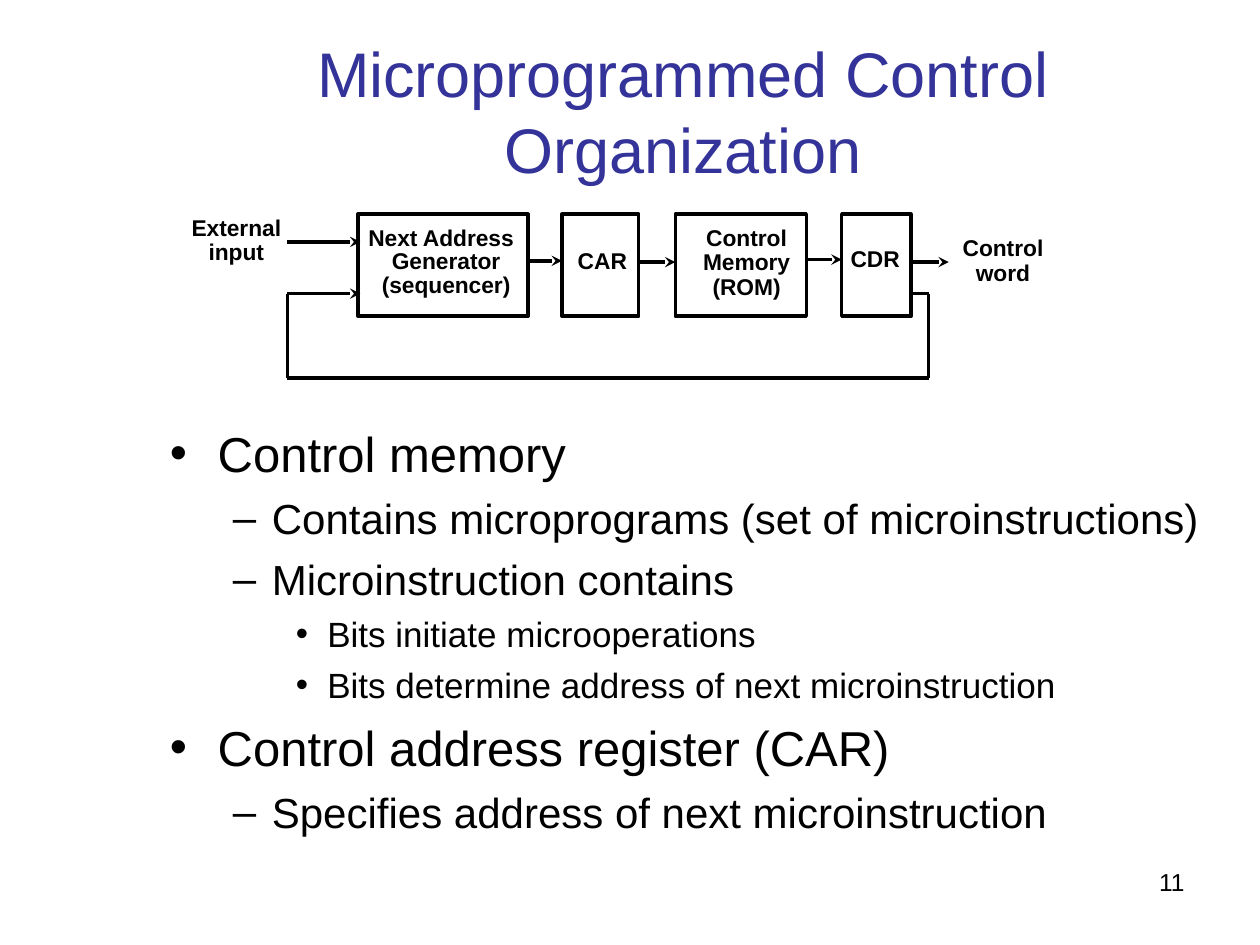
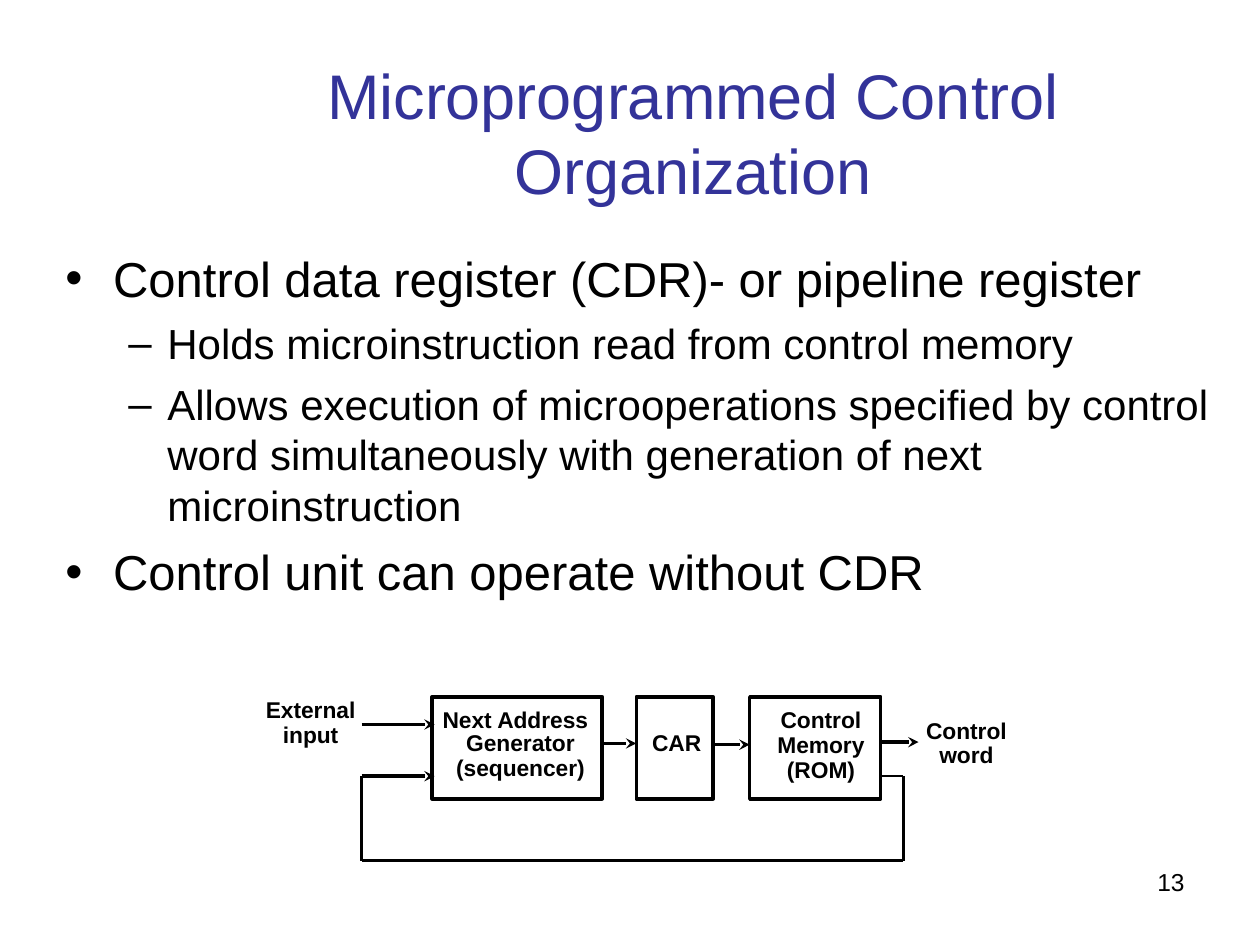
import lxml.etree
import pptx
import pptx.dml.color
import pptx.enum.shapes
import pptx.enum.text
import pptx.oxml.ns
import pptx.util

Inches = pptx.util.Inches
Pt = pptx.util.Pt
ALIGN = pptx.enum.text.PP_ALIGN
ANCHOR = pptx.enum.text.MSO_ANCHOR

FONT = "Arial"
BLACK, WHITE, TITLE_BLUE = "000000", "FFFFFF", "333399"
TITLE = "Microprogrammed Control Organization"
TITLE_SIZE = (8.5, 1.25)
NUMBER_BOX = (7.17, 6.83, 2.33, 0.52)

# Outline levels: bullet, text indent, hanging indent, size, space before
LEVELS = [
    ("•", 0.38, 0.38, 28, 7),
    ("–", 0.81, 0.31, 24, 6),
    ("•", 1.25, 0.25, 20, 5),
]

# Diagram measures are relative to its left edge and the top of its blocks.
BLOCK_HEIGHT = 0.81
INPUT_Y, FEEDBACK_Y, FEEDBACK_BOTTOM = 0.22, 0.63, 1.3
HEAD_OVERLAP, OUTPUT_LENGTH = 0.02, 0.3
EXTERNAL_LABEL = (["External", "input"], (-0.86, -0.03, 0.91, 0.49))
WORD_TOP, WORD_SIZE = 0.13, (0.84, 0.49)

# Each block has its left, width, height of its outgoing arrow, and labels
BLOCKS = {
    "sequencer": (0.56, 1.35, 0.37, [
        (["Next Address"], (0.54, 0.05, 1.36, 0.29)),
        (["Generator", "(sequencer)"], (0.65, 0.23, 1.22, 0.49)),
    ]),
    "CAR": (2.18, 0.61, 0.38, [(["CAR"], (2.19, 0.23, 0.62, 0.29))]),
    "ROM": (3.08, 1.04, 0.36, [
        (["Control", "Memory", "(ROM)"], (3.2, 0.05, 0.89, 0.68)),
    ]),
    "CDR": (4.4, 0.55, 0.38, [(["CDR"], (4.37, 0.22, 0.59, 0.29))]),
}

SLIDES = [
    {
        "number": "11",
        "title_at": (1.17, 0.25),
        "body_box": (1.25, 3.31, 8.5, 3.44),
        "outline": [
            (0, "Control memory"),
            (1, "Contains microprograms (set of microinstructions)"),
            (1, "Microinstruction contains"),
            (2, "Bits initiate microoperations"),
            (2, "Bits determine address of next microinstruction"),
            (0, "Control address register (CAR)"),
            (1, "Specifies address of next microinstruction"),
        ],
        "diagram": {
            "origin": (2.28, 1.7),
            "blocks": ["sequencer", "CAR", "ROM", "CDR"],
            "feedback_right": 5.09,
            "word_left": 5.26,
        },
    },
    {
        "number": "13",
        "title_at": (1.25, 0.42),
        "body_box": (0.42, 1.92, 9.33, 4.5),
        "outline": [
            (0, "Control data register (CDR)- or pipeline register"),
            (1, "Holds microinstruction read from control memory"),
            (1, "Allows execution of microoperations specified by control word "
                "simultaneously with generation of next microinstruction"),
            (0, "Control unit can operate without CDR"),
        ],
        "diagram": {
            "origin": (2.87, 5.53),
            "blocks": ["sequencer", "CAR", "ROM"],
            "feedback_right": 4.3,
            "word_left": 4.38,
        },
    },
]


def color(value):
    return pptx.dml.color.RGBColor.from_string(value)


def set_all(target, values):
    for name, value in values.items():
        setattr(target, name, value)


def add_child(parent, tag, **attributes):
    return lxml.etree.SubElement(parent, pptx.oxml.ns.qn(tag), attributes)


def add_text(shapes, box, lines, size, ink=BLACK, bold=False, wrap=True,
             anchor=ANCHOR.TOP, **paragraph_format):
    """Add a text box with one paragraph per line and return its paragraphs."""
    frame = shapes.add_textbox(*map(Inches, box)).text_frame
    set_all(frame, {"word_wrap": wrap, "vertical_anchor": anchor})
    frame.text = "\n".join(lines)
    for paragraph in frame.paragraphs:
        set_all(paragraph, paragraph_format)
        for run in paragraph.runs:
            set_all(run.font, {"name": FONT, "size": Pt(size), "bold": bold})
            run.font.color.rgb = color(ink)
    return frame.paragraphs


def add_outline(slide, box, outline):
    paragraphs = add_text(slide.shapes, box, [text for _, text in outline], 28)
    for paragraph, (level, _) in zip(paragraphs, outline):
        bullet, indent, hanging, size, before = LEVELS[level]
        set_all(paragraph, {"level": level, "space_before": Pt(before)})
        paragraph.runs[0].font.size = Pt(size)
        properties = paragraph._p.get_or_add_pPr()
        properties.set("marL", str(Inches(indent)))
        properties.set("indent", str(-Inches(hanging)))
        add_child(properties, "a:buFont", typeface=FONT)
        add_child(properties, "a:buChar", char=bullet)


def add_diagram(slide, origin, blocks, feedback_right, word_left):
    shapes = slide.shapes.add_group_shape().shapes
    left, top = origin

    def line(x1, y1, x2, y2, width=2, arrow=False):
        ends = (left + x1, top + y1, left + x2, top + y2)
        connector = shapes.add_connector(
            pptx.enum.shapes.MSO_CONNECTOR.STRAIGHT, *map(Inches, ends))
        connector.line.color.rgb = color(BLACK)
        connector.line.width = Pt(width)
        if arrow:
            add_child(connector.line._get_or_add_ln(), "a:tailEnd", type="stealth")
        add_child(connector._element.spPr, "a:effectLst")

    def label(lines, box):
        x, y, width, height = box
        add_text(shapes, (left + x, top + y, width, height), lines, 13, bold=True,
                 wrap=False, alignment=ALIGN.CENTER, line_spacing=0.9)

    for name in blocks:
        x, width, _, labels = BLOCKS[name]
        block = shapes.add_shape(
            pptx.enum.shapes.MSO_SHAPE.RECTANGLE,
            *map(Inches, (left + x, top, width, BLOCK_HEIGHT)))
        block.shadow.inherit = False
        block.fill.solid()
        block.fill.fore_color.rgb = color(WHITE)
        block.line.color.rgb = color(BLACK)
        block.line.width = Pt(2)
        for lines, box in labels:
            label(lines, box)

    for name, following in zip(blocks, blocks[1:] + [None]):
        x, width, exit_y, _ = BLOCKS[name]
        exit_x = x + width
        target = BLOCKS[following][0] if following else exit_x + OUTPUT_LENGTH
        line(exit_x, exit_y, target, exit_y, arrow=True)

    entry_x = BLOCKS[blocks[0]][0] + HEAD_OVERLAP
    line(0, INPUT_Y, entry_x, INPUT_Y, arrow=True)
    line(0, FEEDBACK_Y, entry_x, FEEDBACK_Y, arrow=True)
    line(0, FEEDBACK_BOTTOM, feedback_right, FEEDBACK_BOTTOM)
    line(exit_x, FEEDBACK_Y, feedback_right, FEEDBACK_Y, width=1.5)
    for x in (0, feedback_right):
        line(x, FEEDBACK_Y, x, FEEDBACK_BOTTOM, width=1.5)

    label(*EXTERNAL_LABEL)
    label(["Control", "word"], (word_left, WORD_TOP, *WORD_SIZE))


def main():
    presentation = pptx.Presentation()
    set_all(presentation, {"slide_width": Inches(10), "slide_height": Inches(7.5)})
    for content in SLIDES:
        slide = presentation.slides.add_slide(presentation.slide_layouts[6])
        add_text(slide.shapes, NUMBER_BOX, [content["number"]], 14,
                 alignment=ALIGN.RIGHT)
        add_outline(slide, content["body_box"], content["outline"])
        add_text(slide.shapes, content["title_at"] + TITLE_SIZE, [TITLE], 36,
                 TITLE_BLUE, anchor=ANCHOR.MIDDLE, alignment=ALIGN.CENTER)
        add_diagram(slide, **content["diagram"])
    presentation.save("out.pptx")


if __name__ == "__main__":
    main()
